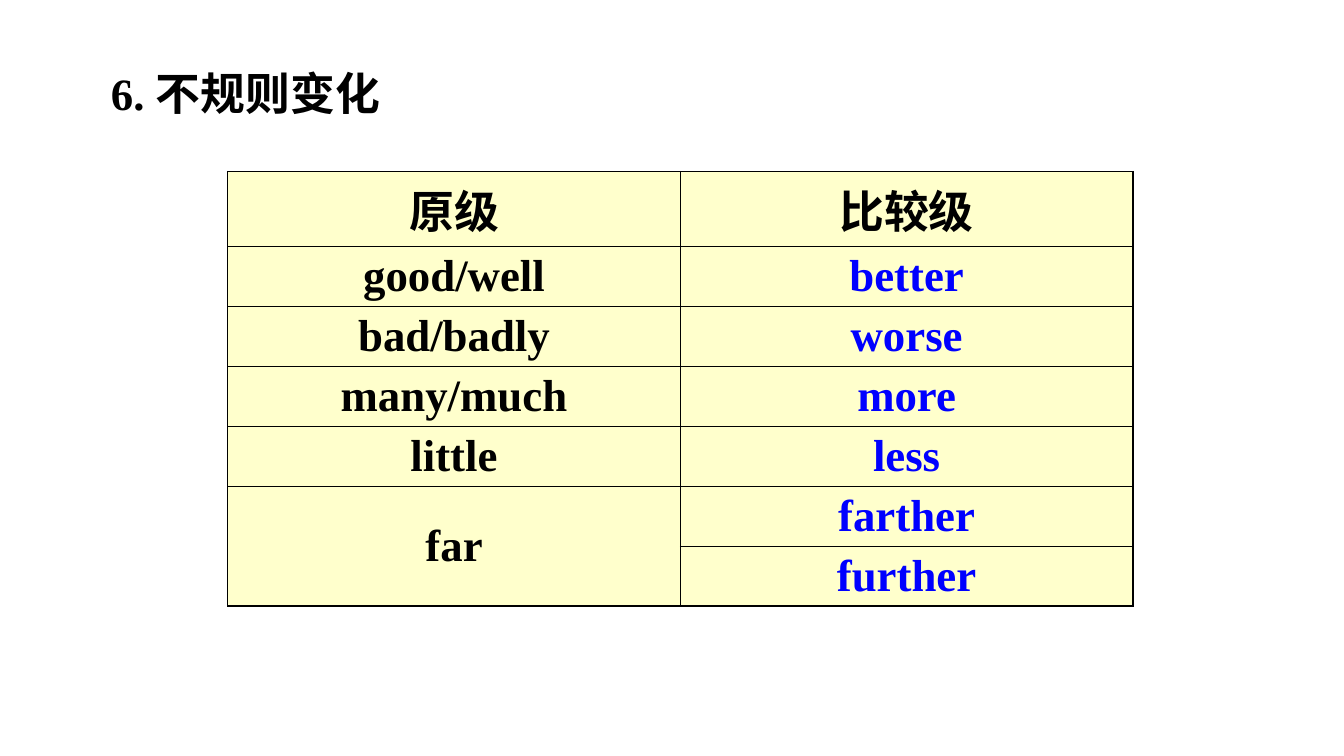
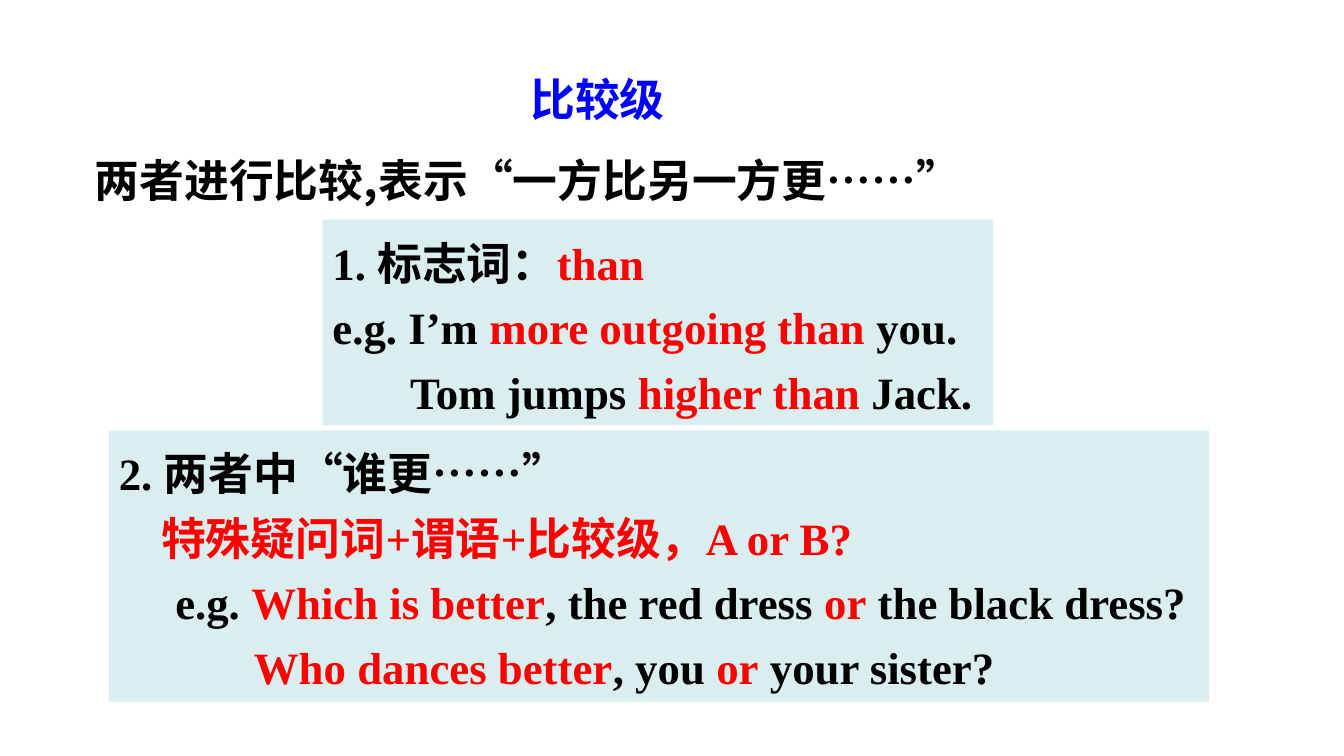
from lxml.etree import SubElement
from pptx import Presentation
from pptx.dml.color import RGBColor
from pptx.enum.shapes import MSO_SHAPE as Shape
from pptx.enum.text import MSO_ANCHOR as Anchor, MSO_AUTO_SIZE as AutoSize, PP_ALIGN as Align
from pptx.oxml.ns import qn
from pptx.util import Inches, Pt

# Shared look
BLACK = RGBColor(0x00, 0x00, 0x00)
BLUE = RGBColor(0x00, 0x00, 0xFF)
RED = RGBColor(0xFF, 0x00, 0x00)
CREAM = RGBColor(0xFF, 0xFF, 0xCC)
PALE_TEAL = RGBColor(0xDA, 0xED, 0xEF)
LATIN = "Times New Roman"
CJK = "Noto Sans CJK SC"
SIZE = Pt(32)
SLIDE_W, SLIDE_H = Inches(13.33), Inches(7.5)
TITLE_ONLY = 5

# Slide content
WORD_FORMS = [
    ("原级", "比较级"),
    ("good/well", "better"),
    ("bad/badly", "worse"),
    ("many/much", "more"),
    ("little", "less"),
    ("far", "farther"),
    ("", "further"),
]

# Each line is an indent in inches and its runs: text, colour and optional font
SIGNAL_WORD = [
    (0, [("1. 标志词：", BLACK), ("than", RED)]),
    (0, [("e.g. I’m ", BLACK), ("more outgoing than", RED), (" you.", BLACK)]),
    (0.77, [("Tom jumps ", BLACK), ("higher than ", RED), ("Jack.", BLACK)]),
]
WHICH_IS_MORE = [
    (0, [("2. 两者中“谁更", BLACK), ("……”", BLACK, CJK)]),
    (0.42, [("特殊疑问词+谓语+比较级，A or B?", RED)]),
    (0.56, [("e.g. ", BLACK), ("Which is better", RED), (", the red dress ", BLACK),
            ("or", RED), (" the black dress?", BLACK)]),
    (1.34, [("Who dances better", RED), (", you ", BLACK),
            ("or", RED), (" your sister?", BLACK)]),
]


def across(percent):
    return round(SLIDE_W * percent / 100)


def down(percent):
    return round(SLIDE_H * percent / 100)


def area(left, top, width, height):
    """Turn shares of the slide, in percent, into lengths."""
    return across(left), down(top), across(width), down(height)


def format_run(run, colour, latin=LATIN):
    font = run.font
    font.size, font.bold, font.name = SIZE, True, latin
    font.color.rgb = colour
    SubElement(font._element, qn("a:ea"), typeface=CJK)


def set_line(frame, text, colour, latin=LATIN, align=Align.LEFT):
    frame.text = text
    paragraph = frame.paragraphs[0]
    paragraph.alignment = align
    for run in paragraph.runs:
        format_run(run, colour, latin)


def set_title(slide, text, colour, place):
    title = slide.shapes.title
    title.left, title.top, title.width, title.height = place
    frame = title.text_frame
    frame.auto_size = AutoSize.NONE
    frame.vertical_anchor = Anchor.MIDDLE
    set_line(frame, text, colour)


def add_sentence(slide, text, place):
    frame = slide.shapes.add_textbox(*place).text_frame
    frame.word_wrap = True
    frame.vertical_anchor = Anchor.MIDDLE
    set_line(frame, text, BLACK, CJK)


def add_panel(slide, lines, place):
    panel = slide.shapes.add_shape(Shape.RECTANGLE, *place)
    panel.shadow.inherit = False
    panel.fill.solid()
    panel.fill.fore_color.rgb = PALE_TEAL
    panel.line.fill.background()
    frame = panel.text_frame
    frame.word_wrap = True
    frame.vertical_anchor = Anchor.TOP
    for number, (indent, runs) in enumerate(lines):
        paragraph = frame.add_paragraph() if number else frame.paragraphs[0]
        paragraph.alignment = Align.LEFT
        paragraph.line_spacing = 1.2
        paragraph._p.get_or_add_pPr().set("marL", str(Inches(indent)))
        for text, *style in runs:
            run = paragraph.add_run()
            run.text = text
            format_run(run, *style)


def style_cell(cell):
    # Borders come before the fill in the cell's properties
    properties = cell._tc.get_or_add_tcPr()
    for side in ("a:lnL", "a:lnR", "a:lnT", "a:lnB"):
        border = SubElement(properties, qn(side), w=str(Pt(1)))
        SubElement(SubElement(border, qn("a:solidFill")), qn("a:srgbClr"), val=str(BLACK))
    cell.fill.solid()
    cell.fill.fore_color.rgb = CREAM
    cell.vertical_anchor = Anchor.MIDDLE


def add_word_table(slide, rows, left, top, width, head_height, row_height):
    height = head_height + row_height * (len(rows) - 1)
    place = area(left, top, width, height)
    table = slide.shapes.add_table(len(rows), len(rows[0]), *place).table
    table.first_row = table.horz_banding = False
    for r, words in enumerate(rows):
        table.rows[r].height = down(row_height if r else head_height)
        for c, word in enumerate(words):
            cell = table.cell(r, c)
            style_cell(cell)
            if word:
                set_line(cell.text_frame, word, BLUE if r and c else BLACK, align=Align.CENTER)
    # "far" has two comparatives
    table.cell(len(rows) - 2, 0).merge(table.cell(len(rows) - 1, 0))


def main():
    deck = Presentation()
    deck.slide_width, deck.slide_height = SLIDE_W, SLIDE_H
    layout = deck.slide_layouts[TITLE_ONLY]

    # Irregular forms
    irregular = deck.slides.add_slide(layout)
    set_title(irregular, "6. 不规则变化", BLACK, area(7.5, 8, 30, 8.5))
    add_word_table(irregular, WORD_FORMS, 16.95, 22.67, 67.35, 9.87, 7.93)

    # Using the comparative
    comparative = deck.slides.add_slide(layout)
    set_title(comparative, "比较级", BLUE, area(38.7, 9.5, 16.5, 7.2))
    add_sentence(comparative, "两者进行比较,表示“一方比另一方更……”", area(6.3, 18, 68.4, 11.6))
    add_panel(comparative, SIGNAL_WORD, area(24, 29.07, 49.9, 27.2))
    add_panel(comparative, WHICH_IS_MORE, area(8.1, 56.93, 81.85, 35.87))

    deck.save("out.pptx")


if __name__ == "__main__":
    main()
